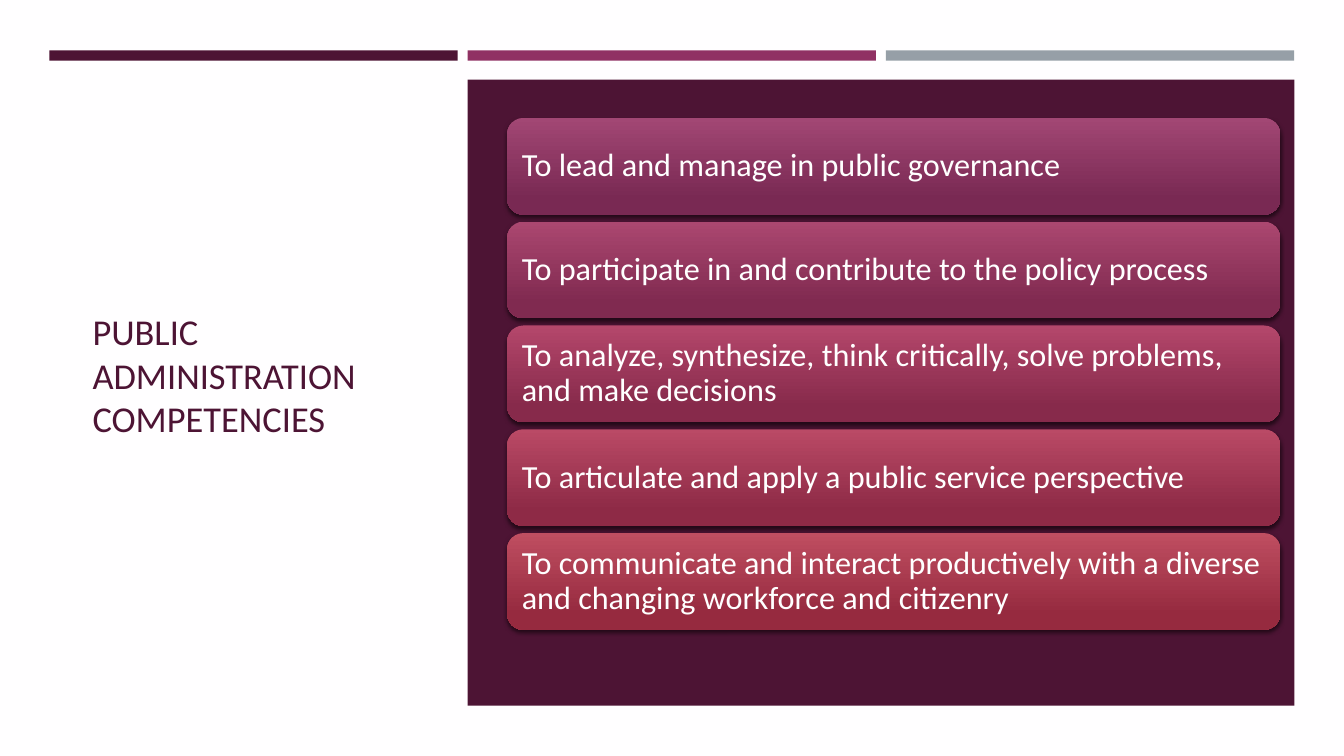
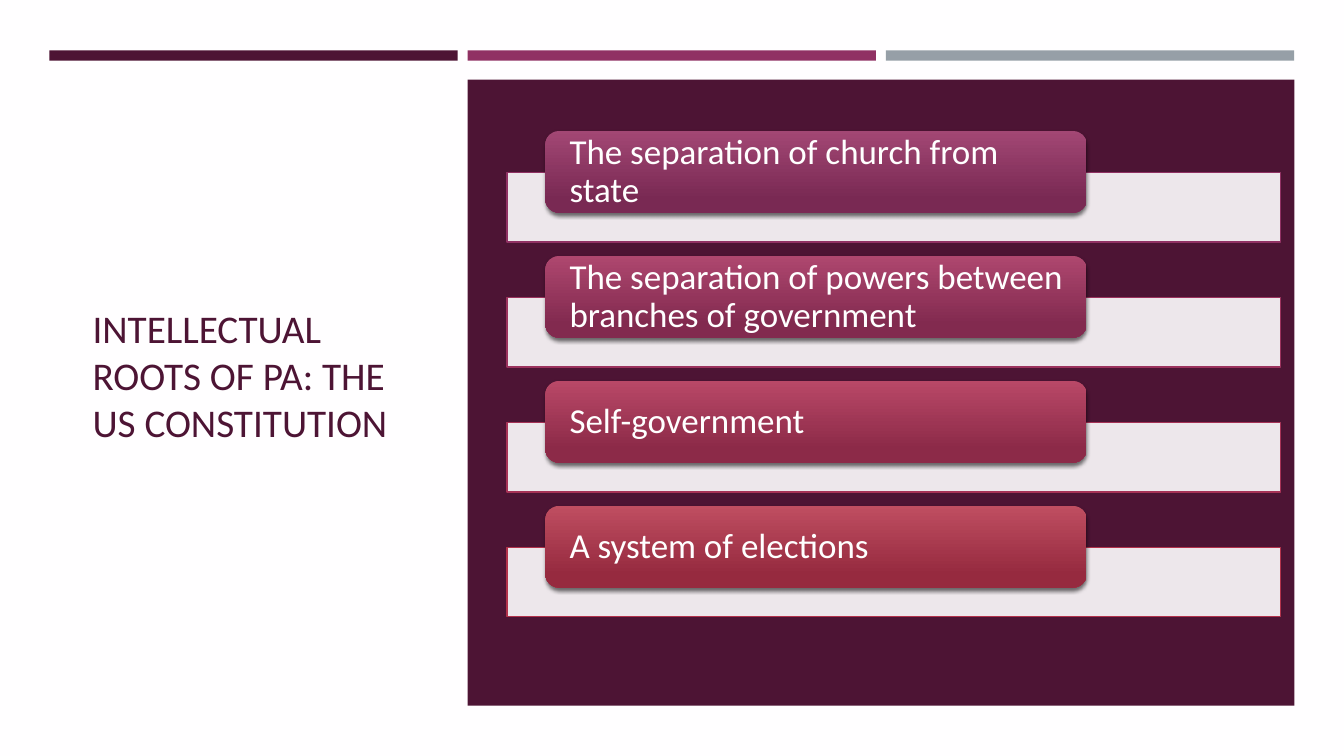
from lxml import etree
from pptx import Presentation
from pptx.dml.color import RGBColor
from pptx.enum.shapes import MSO_SHAPE
from pptx.enum.text import MSO_ANCHOR, PP_ALIGN
from pptx.oxml.ns import qn
from pptx.util import Inches, Pt

RECT, ROUND = MSO_SHAPE.RECTANGLE, MSO_SHAPE.ROUNDED_RECTANGLE
MID, LEFT = MSO_ANCHOR.MIDDLE, PP_ALIGN.LEFT
FONT = "Calibri"
PLUM, WHITE, PAPER = "4D1434", "FFFFFF", "FFFEFF"
BANDS = [PLUM, "903163", "969FA7"]
BAND_X, BAND_W, BAND_STEP = 3.68, 30.37, 31.12
PANEL = (BAND_X + BAND_STEP, 10.53, 61.5, 82.8)
TITLE = (6.15, 15.2, 25.05, 68.67)
ROW_X, ROW_W = 37.73, 57.53

DECK = [
    {
        "title": "PUBLIC ADMINISTRATION COMPETENCIES", "size": 26,
        "card": (ROW_X, 15.6, ROW_W, 12.8), "step": 13.73,
        "font": 23, "pad": (0.1, 0.1), "bar": None,
        "rows": [
            ("To lead and manage in public governance", "A24774", "792953", None),
            ("To participate in and contribute to the policy process", "AB4770", "802A50", None),
            ("To analyze, synthesize, think critically, solve problems, and make decisions",
             "B4476B", "872A4B", None),
            ("To articulate and apply a public service perspective", "BA4A66", "8E2A46", None),
            ("To communicate and interact productively with a diverse and changing workforce and citizenry",
             "BF4E61", "962A3F", None),
        ],
    },
    {
        "title": "INTELLECTUAL ROOTS OF PA: THE US CONSTITUTION", "size": 28,
        "card": (40.58, 17.33, 40.28, 10.8), "step": 16.53,
        "font": 25, "pad": (0.2, 0), "bar": (ROW_X, 22.8, ROW_W, 9.2),
        "rows": [
            ("The separation of church from state", "A24774", "792953", "903163"),
            ("The separation of powers between branches of government", "AE476F", "822A4F", "9B325D"),
            ("Self-government", "B94867", "8C2A48", "A63256"),
            ("A system of elections", "BF4E61", "962A3F", "B2324B"),
        ],
    },
]

hue = RGBColor.from_string
deck = Presentation()
deck.slide_width, deck.slide_height = Inches(13.33), Inches(7.5)


def put(slide, kind, area, code, drop=0):
    x, y, w, h = area
    wide, high = deck.slide_width / 100, deck.slide_height / 100
    place = [int(v) for v in (x * wide, (y + drop) * high, w * wide, h * high)]
    if kind is None:
        return slide.shapes.add_textbox(*place)
    shape = slide.shapes.add_shape(kind, *place)
    shape.shadow.inherit = False
    shape.line.fill.background()
    shape.fill.solid()
    shape.fill.fore_color.rgb = hue(code)
    return shape


def say(shape, words, size, code, pad, space):
    frame = shape.text_frame
    frame.word_wrap = True
    frame.vertical_anchor = MID
    frame.margin_left = frame.margin_right = Inches(pad[0])
    frame.margin_top = frame.margin_bottom = Inches(pad[1])
    para = frame.paragraphs[0]
    para.alignment = LEFT
    para.line_spacing = space
    run = para.add_run()
    run.text = words
    run.font.name, run.font.size = FONT, Pt(size)
    run.font.color.rgb = hue(code)


for page in DECK:
    slide = deck.slides.add_slide(deck.slide_layouts[6])
    slide.background.fill.solid()
    slide.background.fill.fore_color.rgb = hue(PAPER)
    title = put(slide, None, TITLE, None)
    say(title, page["title"], page["size"], PLUM, (0.1, 0.05), 1.0)
    for i, code in enumerate(BANDS):
        put(slide, RECT, (BAND_X + i * BAND_STEP, 6.67, BAND_W, 1.36), code)
    put(slide, RECT, PANEL, PLUM)

    for i, (words, light, dark, edge) in enumerate(page["rows"]):
        drop = i * page["step"]
        if page["bar"]:
            bar = put(slide, RECT, page["bar"], WHITE, drop)
            bar.line.color.rgb = hue(edge)
            bar.line.width = Pt(1)
            tint = bar._element.spPr.find(qn("a:solidFill"))[0]
            etree.SubElement(tint, qn("a:alpha"), val="90000")

        card = put(slide, ROUND, page["card"], dark, drop)
        card.fill.gradient()
        card.fill.gradient_angle = 270
        for stop, code, spot in zip(card.fill.gradient_stops, (light, dark), (0, 0.84)):
            stop.color.rgb = hue(code)
            stop.position = spot
        glow = card._element.spPr.find(qn("a:effectLst"))
        shade = etree.SubElement(glow, qn("a:outerShdw"), blurRad=str(Pt(3)),
                                 dist=str(Pt(2)), dir="5400000", rotWithShape="0")
        black = etree.SubElement(shade, qn("a:srgbClr"), val="000000")
        etree.SubElement(black, qn("a:alpha"), val="55000")
        say(card, words, page["font"], WHITE, page["pad"], 0.9)

deck.save("out.pptx")
